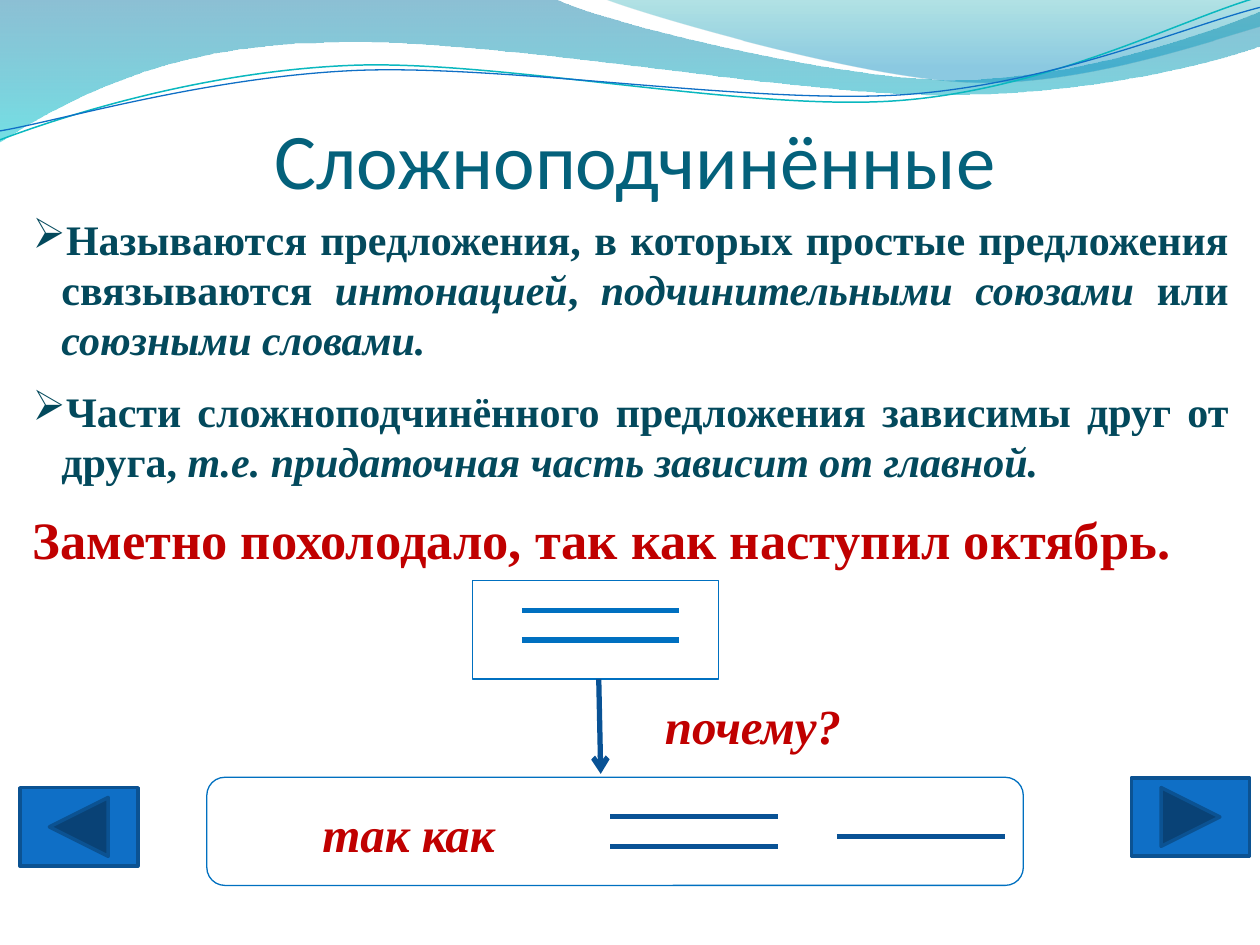
"""Build a slide on complex sentences with a clause diagram."""
from lxml import etree
from pptx import Presentation
from pptx.dml.color import RGBColor
from pptx.enum.shapes import MSO_CONNECTOR, MSO_SHAPE
from pptx.enum.text import MSO_ANCHOR, PP_ALIGN
from pptx.oxml.ns import qn
from pptx.util import Cm, Pt

LINE = MSO_CONNECTOR.STRAIGHT
RECT = MSO_SHAPE.RECTANGLE
ROUND = MSO_SHAPE.FLOWCHART_ALTERNATE_PROCESS
BACK = MSO_SHAPE.ACTION_BUTTON_BACK_OR_PREVIOUS
NEXT = MSO_SHAPE.ACTION_BUTTON_FORWARD_OR_NEXT
LEFT, MID, JUST = PP_ALIGN.LEFT, PP_ALIGN.CENTER, PP_ALIGN.JUSTIFY
TOP, BASE = MSO_ANCHOR.TOP, MSO_ANCHOR.BOTTOM
SERIF = "Times New Roman"
BLUE, NAVY, RED, TEAL = "0070C0", "095295", "C00000", "03495C"


def tint(code):
    return RGBColor.from_string(code)


def node(parent, tag, **attrs):
    return etree.SubElement(parent, qn(tag), attrs)


def trace(start, steps):
    """Return points along a path, from which its bounds are found."""
    points = [start]
    for step in steps:
        if len(step) == 2:
            points.append(step)
            continue
        ends = [points[-1], step[:2], step[2:4], step[4:]]
        for n in range(1, 31):
            t = n / 30
            parts = ((1 - t) ** 3, 3 * t * (1 - t) ** 2, 3 * t * t * (1 - t), t ** 3)
            points.append(tuple(sum(w * p[k] for w, p in zip(parts, ends)) for k in (0, 1)))
    return points


class Deck:
    """Hold the text style and the current slide."""

    style = {"name": SERIF, "size": Pt(28), "bold": True, "italic": False}

    def __init__(self):
        self.file = Presentation()
        self.file.slide_width, self.file.slide_height = Cm(25.4), Cm(19.05)
        self.slide = self.file.slides.add_slide(self.file.slide_layouts[6])
        self.shapes = self.slide.shapes

    def paint(self, shape, fill, line, width):
        shape.shadow.inherit = False
        if fill:
            shape.fill.solid()
            shape.fill.fore_color.rgb = tint(fill)
        else:
            shape.fill.background()
        if line:
            shape.line.color.rgb = tint(line)
            shape.line.width = Pt(width)
        else:
            shape.line.fill.background()

    def bend(self, shape, start, steps, close):
        route = next(shape.element.iter(qn("a:path")))
        for part in list(route):
            route.remove(part)
        tags = {2: "a:lnTo", 6: "a:cubicBezTo"}
        for tag, step in [("a:moveTo", start)] + [(tags[len(s)], s) for s in steps]:
            part = node(route, tag)
            for x, y in zip(step[::2], step[1::2]):
                node(part, "a:pt", x=str(Cm(x) - shape.left), y=str(Cm(y) - shape.top))
        if close:
            node(route, "a:close")

    def curve(self, start, steps, line=None, width=0.75, stops=None):
        points = [(Cm(x), Cm(y)) for x, y in trace(start, steps)]
        form = self.shapes.build_freeform(*points[0])
        form.add_line_segments(points[1:], close=False)
        shape = form.convert_to_shape()
        self.bend(shape, start, steps, bool(stops))
        self.paint(shape, None, line, width)
        if stops:
            shape.fill.gradient()
            shape.fill.gradient_angle = 270
            for stop, (place, code, alpha) in zip(shape.fill.gradient_stops, stops):
                stop.position = place
                stop.color.rgb = tint(code)
            colors = shape.element.spPr.iter(qn("a:srgbClr"))
            for color, (place, code, alpha) in zip(colors, stops):
                node(color, "a:alpha", val=str(alpha * 1000))

    def shape(self, kind, box, fill=None, line=BLUE, width=0.75):
        shape = self.shapes.add_shape(kind, *map(Cm, box))
        self.paint(shape, fill, line, width)

    def line(self, start, end, color=NAVY, arrow=False):
        link = self.shapes.add_connector(LINE, *map(Cm, start + end))
        link.line.color.rgb = tint(color)
        link.line.width = Pt(3)
        if arrow:
            node(link.element.spPr.find(qn("a:ln")), "a:tailEnd", type="arrow")
        node(link.element.spPr, "a:effectLst")

    def text(self, box, paras, anchor=TOP, side=0.25, foot=0.13):
        frame = self.shapes.add_textbox(*map(Cm, box)).text_frame
        form = {"word_wrap": True, "vertical_anchor": anchor, "margin_left": Cm(side),
                "margin_right": Cm(side), "margin_bottom": Cm(foot)}
        for key, value in form.items():
            setattr(frame, key, value)
        for n, (runs, look, font) in enumerate(paras):
            para = frame.add_paragraph() if n else frame.paragraphs[0]
            look = dict(look)
            bullet = look.pop("bullet", None)
            for key, value in look.items():
                setattr(para, key, value)
            if bullet:
                props = para._p.get_or_add_pPr()
                props.set("marL", str(Cm(0.58)))
                props.set("indent", str(-Cm(0.58)))
                node(props, "a:buChar", char=bullet)
            for words, more in runs:
                run = para.add_run()
                run.text = words
                values = {**self.style, **font, **more}
                run.font.color.rgb = tint(values.pop("color"))
                for key, value in values.items():
                    setattr(run.font, key, value)


def main():
    deck = Deck()
    deck.curve((0, -0.03), [
        (11.18, -0.03), (12.09, 0.43, 16.87, 1.6, 19.25, 1.6),
        (21.67, 1.6, 24.33, 0.66, 25.4, 0.23), (25.43, 0.91),
        (24.97, 1.12, 22.1, 1.93, 18.95, 1.91), (15.8, 1.91, 9.7, 0.71, 6.53, 0.86),
        (3.28, 0.89, 1.17, 2.11, -0.03, 2.87), (0, -0.03),
    ], stops=[(0, "0074A1", 45), (1, "00C6CF", 55)])
    deck.curve((12.17, -0.03), [
        (12.93, 0.28, 17.32, 1.57, 19.53, 1.65),
        (21.74, 1.75, 24.41, 0.81, 25.4, 0.53), (25.4, 0), (12.17, -0.03),
    ], stops=[(0, "00A1A9", 30), (0.8, "008BBF", 45)])
    deck.curve((0, 2.82), [
        (1.22, 2.36, 4.01, 1.45, 7.04, 1.32), (10.03, 1.19, 15.06, 2.26, 18.11, 2.03),
        (21.16, 1.8, 23.83, 0.38, 25.35, -0.05),
    ], "0AB8BF", 0.85)
    deck.curve((0, 2.64), [
        (1.19, 2.44, 4.17, 1.55, 7.19, 1.42), (10.24, 1.3, 15.16, 2.11, 18.21, 1.91),
        (21.23, 1.7, 23.9, 0.53, 25.4, 0.15),
    ], "0F6FC6")

    head = {"name": "Calibri", "size": Pt(45), "bold": False, "color": "04617B"}
    deck.text((1.27, 2.18, 23.06, 1.96),
              [([("Сложноподчинённые", {})], {"alignment": MID}, head)], BASE, 0, 0)

    slant = {"italic": True}
    body = {"size": Pt(24), "color": TEAL}
    point = {"alignment": JUST, "space_after": Pt(12), "bullet": "➢"}
    deck.text((0.41, 4.17, 24.61, 9.14), [
        ([("Называются предложения, в которых простые предложения связываются ", {}),
          ("интонацией", slant), (", ", {}), ("подчинительными союзами ", slant),
          ("или", {}), (" союзными словами.", slant)], point, body),
        ([("Части сложноподчинённого предложения зависимы друг от друга, ", {}),
          ("т.е. придаточная часть зависит от главной.", slant)], point, body),
        ([("Заметно похолодало, так как наступил октябрь.", {})],
         {"alignment": LEFT}, {"size": Pt(30), "color": RED}),
    ])

    deck.shape(RECT, (9.53, 11.71, 4.95, 1.98))
    for y in (12.3, 12.9):
        deck.line((10.52, y), (13.69, y), BLUE)
    deck.line((12.07, 13.69), (12.11, 15.6), arrow=True)
    deck.shape(ROUND, (4.17, 15.67, 16.46, 2.18))
    for x, y in ((12.3, 16.46), (12.3, 17.07), (16.87, 16.87)):
        deck.line((x, y), (x + 3.38, y))
    for words, box in (("почему?", (12.5, 13.89, 5.36, 1.45)),
                       ("так как", (5.16, 16.08, 6.15, 1.45))):
        deck.text(box, [([(words, slant)], {"alignment": MID}, {"color": RED})])
    for kind, x, y in ((BACK, 0.4, 15.88), (NEXT, 22.81, 15.68)):
        deck.shape(kind, (x, y, 2.38, 1.58), "0F6FC6", "0B5292", 2)
    deck.file.save("out.pptx")


if __name__ == "__main__":
    main()
